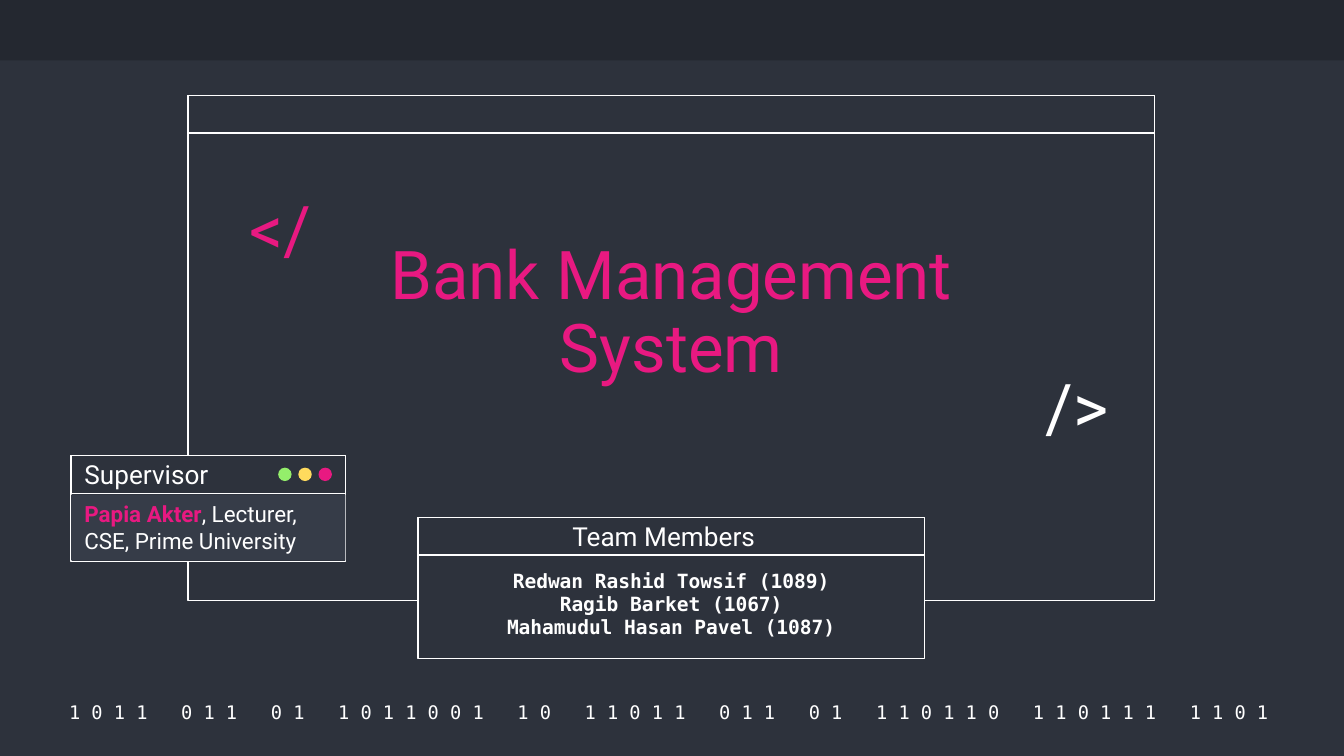
from dataclasses import dataclass

from pptx import Presentation
from pptx.dml.color import RGBColor
from pptx.enum import shapes, text
from pptx.util import Inches, Pt

COLORS = {
    "background": "2D323C", "band": "242830", "panel": "363C48",
    "white": "FFFFFF", "pink": "E81981", "green": "94EE6B", "yellow": "FFDB5D",
}
SANS, MONO = "Roboto", "DejaVu Sans Mono"
SLIDE_WIDTH = 10
BAR_HEIGHT = 0.28
TOP, MIDDLE, BOTTOM = (text.MSO_ANCHOR.TOP, text.MSO_ANCHOR.MIDDLE,
                       text.MSO_ANCHOR.BOTTOM)
LEFT, CENTER = text.PP_ALIGN.LEFT, text.PP_ALIGN.CENTER


@dataclass
class Box:
    left: float
    top: float
    width: float
    height: float

    def inches(self) -> list:
        return [Inches(v) for v in (self.left, self.top, self.width, self.height)]


@dataclass
class Style:
    size: float
    color: str = "white"
    face: str = SANS
    bold: bool = False
    align: int = LEFT
    anchor: int = TOP
    pad: float = 0.1
    spacing: float = 1.0


def rgb(name: str) -> RGBColor:
    return RGBColor.from_string(COLORS[name])


def draw_shape(slide, kind, box: Box, fill: str, outlined: bool = False):
    shape = slide.shapes.add_shape(kind, *box.inches())
    shape.shadow.inherit = False
    shape.fill.solid()
    shape.fill.fore_color.rgb = rgb(fill)
    if outlined:
        shape.line.color.rgb = rgb("white")
        shape.line.width = Pt(0.75)
    else:
        shape.line.fill.background()
    return shape


def draw_window(slide, box: Box) -> None:
    """An outlined window with a title bar along its top."""
    bar = Box(box.left, box.top, box.width, BAR_HEIGHT)
    for part in (box, bar):
        draw_shape(slide, shapes.MSO_SHAPE.RECTANGLE, part, "background", True)


def style_run(run, style: Style) -> None:
    run.font.name = style.face
    run.font.size = Pt(style.size)
    run.font.bold = style.bold
    run.font.color.rgb = rgb(style.color)


def draw_text(slide, box: Box, lines: list[str], style: Style):
    frame = slide.shapes.add_textbox(*box.inches()).text_frame
    frame.word_wrap = True
    frame.vertical_anchor = style.anchor
    frame.margin_left = frame.margin_right = Inches(0.1)
    frame.margin_top = frame.margin_bottom = Inches(style.pad)
    frame.text = "\n".join(lines)
    for paragraph in frame.paragraphs:
        paragraph.alignment = style.align
        paragraph.line_spacing = style.spacing
        for run in paragraph.runs:
            style_run(run, style)
    return frame


def draw_binary_row(slide, box: Box, groups: list[str]) -> None:
    """Spaced digits, with a wider tracked gap between the groups."""
    style = Style(10, face=MONO, align=CENTER, anchor=MIDDLE)
    paragraph = draw_text(slide, box, [""], style).paragraphs[0]
    for index, group in enumerate(groups):
        if index:
            gap = paragraph.add_run()
            gap.text = " "
            style_run(gap, style)
            gap.font._element.set("spc", "1204")  # two more character widths
        digits = paragraph.add_run()
        digits.text = " ".join(group)
        style_run(digits, style)


def main() -> None:
    deck = Presentation()
    deck.slide_width = Inches(SLIDE_WIDTH)
    deck.slide_height = Inches(SLIDE_WIDTH * 9 / 16)
    slide = deck.slides.add_slide(deck.slide_layouts[6])
    slide.background.fill.solid()
    slide.background.fill.fore_color.rgb = rgb("background")
    rectangle = shapes.MSO_SHAPE.RECTANGLE

    # Top band and binary footer
    draw_shape(slide, rectangle, Box(0, 0, SLIDE_WIDTH, 0.45), "band")
    draw_binary_row(slide, Box(0.34, 5.2, 9.27, 0.2),
                    "1011 011 01 1011001 10 11011 011 01 110110 110111 1101".split())

    # Main and team windows
    draw_window(slide, Box(1.4, 0.71, 7.19, 3.76))
    draw_window(slide, Box(3.11, 3.85, 3.77, 1.05))

    # Title between code brackets
    draw_text(slide, Box(1.76, 1.4, 0.77, 0.66), ["</"],
              Style(36, "pink", anchor=MIDDLE, spacing=0.9))
    draw_text(slide, Box(7.68, 2.73, 0.77, 0.66), ["/>"],
              Style(36, anchor=MIDDLE, spacing=0.9))
    draw_text(slide, Box(2.25, 1.41, 5.49, 1.57), ["Bank Management System"],
              Style(36, "pink", align=CENTER, anchor=BOTTOM, spacing=0.9))

    # Team members
    draw_text(slide, Box(4.16, 3.82, 5, 0.34), ["Team Members"], Style(14, pad=0.05))
    draw_text(slide, Box(3.33, 4.13, 3.33, 0.77),
              ["Redwan Rashid Towsif (1089)", "Ragib Barket (1067)",
               "Mahamudul Hasan Pavel (1087)"],
              Style(10.5, face=MONO, bold=True, align=CENTER))

    # Supervisor window with its three buttons
    supervisor = Box(0.53, 3.39, 2.04, 0.79)
    draw_window(slide, supervisor)
    draw_text(slide, Box(supervisor.left, supervisor.top, 1.5, BAR_HEIGHT),
              ["Supervisor"], Style(14, anchor=MIDDLE))
    for index, color in enumerate(("green", "yellow", "pink")):
        draw_shape(slide, shapes.MSO_SHAPE.OVAL,
                   Box(2.07 + 0.15 * index, 3.48, 0.1, 0.1), color)
    draw_shape(slide, rectangle, Box(0.53, 3.68, 2.04, 0.49), "panel")
    details = draw_text(slide, Box(0.53, 3.67, 1.94, 0.5),
                        ["Papia Akter", "CSE, Prime University"], Style(12, pad=0.05))
    name_line = details.paragraphs[0]
    style_run(name_line.runs[0], Style(12, "pink", bold=True))
    role = name_line.add_run()
    role.text = ", Lecturer,"
    style_run(role, Style(12))

    deck.save("out.pptx")


if __name__ == "__main__":
    main()
